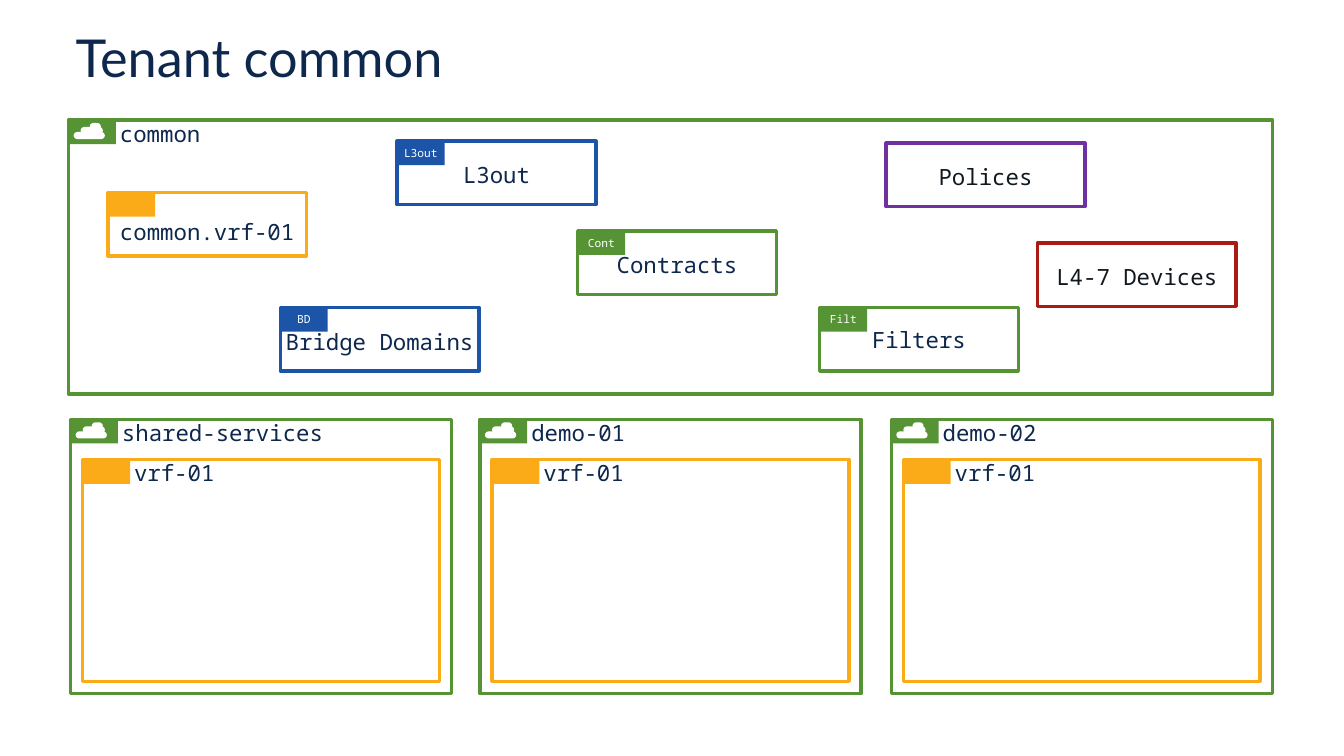
import pptx
import pptx.dml.color
import pptx.enum.shapes
import pptx.enum.text
import pptx.util

Inches = pptx.util.Inches
Pt = pptx.util.Pt
RGBColor = pptx.dml.color.RGBColor
MSO_SHAPE = pptx.enum.shapes.MSO_SHAPE
MSO_ANCHOR = pptx.enum.text.MSO_ANCHOR
PP_ALIGN = pptx.enum.text.PP_ALIGN

NAVY = RGBColor(0x0D, 0x27, 0x4D)
BLACK = RGBColor(0x10, 0x18, 0x20)
WHITE = RGBColor(0xFF, 0xFF, 0xFF)
GREEN = RGBColor(0x56, 0x93, 0x34)
BLUE = RGBColor(0x1C, 0x54, 0xA7)
ORANGE = RGBColor(0xFB, 0xAB, 0x18)
PURPLE = RGBColor(0x70, 0x30, 0xA0)
RED = RGBColor(0xAA, 0x1B, 0x14)

TITLE_FONT = "Lato"
LABEL_FONT = "Noto Sans Mono"
TAG_SIZE = (0.47, 0.24)
OBJECT_SIZE = (1.97, 0.63)
OBJECT_INSETS = (0, 0.04, 0, 0)
TENANT_HEIGHT = 2.72
CLOUD_LOBES = [(0.05, 0.12, 0.31, 0.07), (0.12, 0.07, 0.22, 0.07), (0.21, 0.03, 0.11, 0.07)]


def write_text(shape, text, size, color, insets, alignment, anchor, wrap=True):
    """Write one paragraph of label text into a shape."""
    frame = shape.text_frame
    frame.margin_left, frame.margin_top, frame.margin_right, frame.margin_bottom = map(Inches, insets)
    frame.vertical_anchor = anchor
    frame.word_wrap = wrap
    paragraph = frame.paragraphs[0]
    paragraph.text = text
    paragraph.alignment = alignment
    paragraph.font.size = Pt(size)
    paragraph.font.name = LABEL_FONT
    paragraph.font.color.rgb = color


def add_solid(shapes, box, color, preset=MSO_SHAPE.RECTANGLE):
    """Add a filled shape without outline."""
    shape = shapes.add_shape(preset, *map(Inches, box))
    shape.shadow.inherit = False
    shape.fill.solid()
    shape.fill.fore_color.rgb = color
    shape.line.fill.background()
    return shape


def add_frame(shapes, box, color):
    """Add an unfilled rectangle with a coloured outline."""
    shape = shapes.add_shape(MSO_SHAPE.RECTANGLE, *map(Inches, box))
    shape.shadow.inherit = False
    shape.fill.background()
    shape.line.color.rgb = color
    shape.line.width = Pt(2.5)
    return shape


def add_tag(shapes, left, top, color, text=""):
    """Add the small corner tag of a frame."""
    tag = add_solid(shapes, (left, top, *TAG_SIZE), color)
    if text:
        write_text(tag, text, 8, WHITE, (0.1, 0.05, 0.1, 0.05),
                   PP_ALIGN.CENTER, MSO_ANCHOR.MIDDLE, wrap=False)


def add_object(shapes, left, top, text, color, text_color=NAVY, insets=OBJECT_INSETS, wrap=True):
    """Add a labelled object box."""
    frame = add_frame(shapes, (left, top, *OBJECT_SIZE), color)
    write_text(frame, text, 16, text_color, insets, PP_ALIGN.CENTER, MSO_ANCHOR.MIDDLE, wrap)


def add_tagged_object(slide, left, top, text, color, tag="", **text_options):
    """Add an object box grouped with its corner tag."""
    shapes = slide.shapes.add_group_shape().shapes
    add_object(shapes, left, top, text, color, **text_options)
    add_tag(shapes, left, top, color, tag)


def add_container(shapes, box, name, color, bottom_inset):
    """Add a named frame with a corner tag."""
    frame = add_frame(shapes, box, color)
    write_text(frame, name, 16, NAVY, (0.51, 0, 0.24, bottom_inset), PP_ALIGN.LEFT, MSO_ANCHOR.TOP)
    add_tag(shapes, box[0], box[1], color)


def add_tenant(slide, left, top, width, name, vrf=""):
    """Add a tenant with its cloud icon and an optional VRF inside."""
    shapes = slide.shapes.add_group_shape().shapes
    add_container(shapes, (left, top, width, TENANT_HEIGHT), name, GREEN, 0.04)
    for x, y, lobe_width, lobe_height in CLOUD_LOBES:
        lobe = add_solid(shapes, (left + x, top + y, lobe_width, lobe_height),
                         WHITE, MSO_SHAPE.ROUNDED_RECTANGLE)
        lobe.adjustments[0] = 0.5
    if vrf:
        vrf_box = (left + 0.12, top + 0.4, width - 0.24, TENANT_HEIGHT - 0.52)
        add_container(shapes, vrf_box, vrf, ORANGE, 0.16)


def add_title(slide, text):
    """Place and format the slide title."""
    title = slide.shapes.title
    title.left, title.top, title.width, title.height = map(Inches, (0.65, 0.29, 12.05, 0.63))
    frame = title.text_frame
    frame.text = text
    frame.auto_size = pptx.enum.text.MSO_AUTO_SIZE.NONE
    frame.vertical_anchor = MSO_ANCHOR.BOTTOM
    paragraph = frame.paragraphs[0]
    paragraph.alignment = PP_ALIGN.LEFT
    paragraph.line_spacing = 0.8
    paragraph.font.size = Pt(37.3)
    paragraph.font.name = TITLE_FONT
    paragraph.font.color.rgb = NAVY


def add_common_objects(slide):
    """Add the objects shared by the common tenant."""
    add_object(slide.shapes, 8.79, 1.42, "Polices", PURPLE, BLACK)
    add_tagged_object(slide, 5.73, 2.29, "Contracts", GREEN, "Cont")
    add_tagged_object(slide, 8.13, 3.05, "Filters", GREEN, "Filt", insets=(0, 0, 0, 0))
    add_tagged_object(slide, 3.94, 1.4, "L3out", BLUE, "L3out")
    add_tagged_object(slide, 2.78, 3.05, "Bridge Domains", BLUE, "BD", wrap=False)
    add_object(slide.shapes, 10.29, 2.41, "L4-7 Devices", RED, BLACK)
    add_tagged_object(slide, 1.07, 1.91, "common.vrf-01", ORANGE, insets=(0, 0.31, 0, 0.16))


def main():
    """Build and save the presentation."""
    presentation = pptx.Presentation()
    presentation.slide_width = Inches(13.33)
    presentation.slide_height = Inches(7.5)
    slide = presentation.slides.add_slide(presentation.slide_layouts[5])
    add_title(slide, "Tenant common")
    add_common_objects(slide)
    add_tenant(slide, 0.68, 1.19, 11.94, "common")
    for left, name in [(0.7, "shared-services"), (4.76, "demo-01"), (8.84, "demo-02")]:
        add_tenant(slide, left, 4.16, 3.78, name, "vrf-01")
    presentation.save("out.pptx")


if __name__ == "__main__":
    main()
